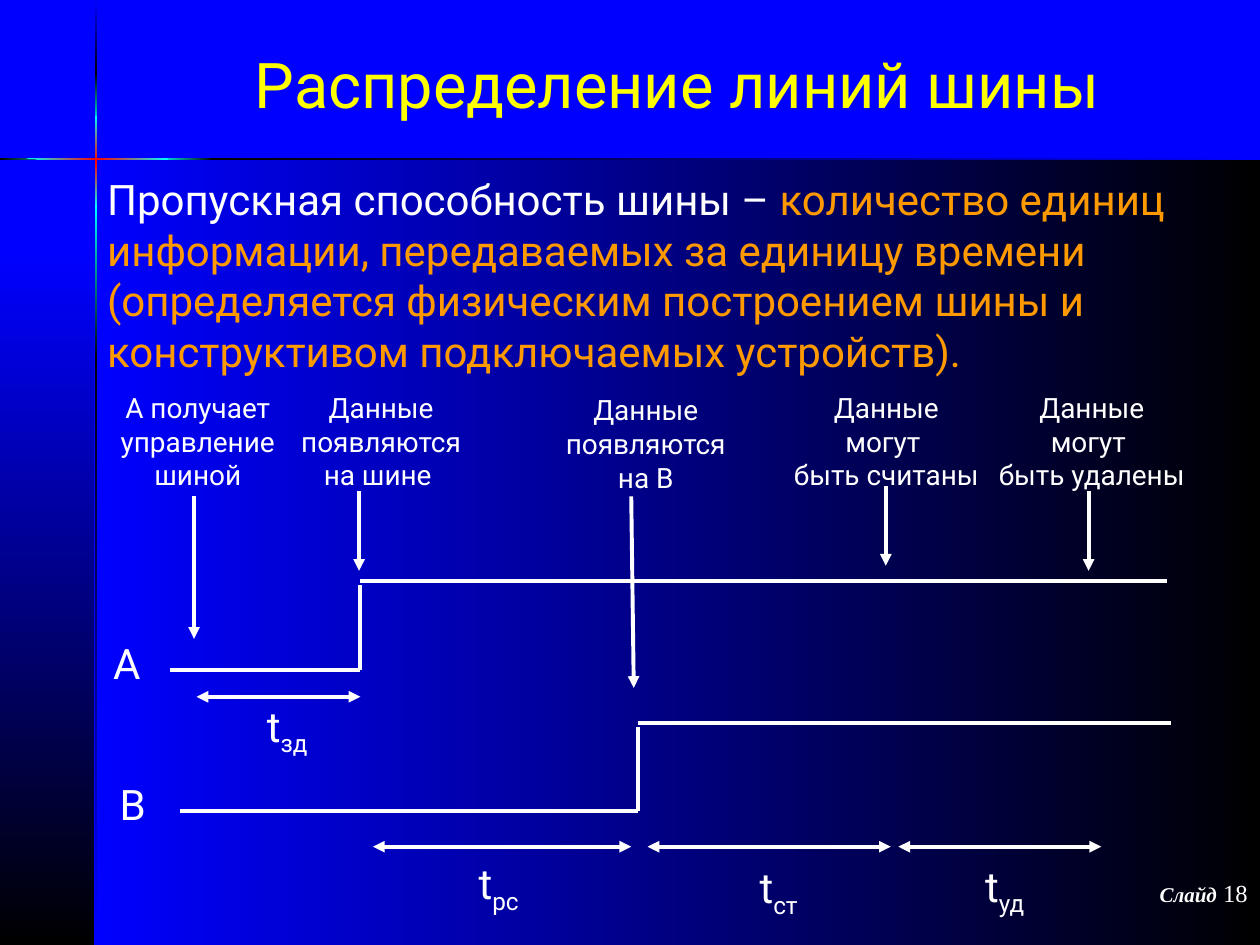
from dataclasses import dataclass
from copy import deepcopy

from pptx import Presentation
from pptx.dml.color import RGBColor
from pptx.enum.shapes import MSO_CONNECTOR, MSO_SHAPE
from pptx.enum.text import MSO_ANCHOR, MSO_AUTO_SIZE, PP_ALIGN
from pptx.oxml.ns import qn
from pptx.util import Inches, Pt
from lxml.etree import SubElement

BLUE = RGBColor(0x00, 0x00, 0xFF)
BLACK = RGBColor(0x00, 0x00, 0x00)
CYAN = RGBColor(0x00, 0xFF, 0xFF)
RED = RGBColor(0xFF, 0x00, 0x00)
WHITE = RGBColor(0xFF, 0xFF, 0xFF)
YELLOW = RGBColor(0xFF, 0xFF, 0x00)
ORANGE = RGBColor(0xFF, 0x99, 0x00)

FONT = "Roboto"
RIGHTWARD, DOWNWARD = 0, 270
RULE = 0.02
AXIS_X, AXIS_Y = 0.75, 1.25


@dataclass
class Band:
    left: float
    top: float
    width: float
    height: float
    colors: tuple[RGBColor, ...]
    angle: int


@dataclass
class Event:
    left: float
    top: float
    width: float
    lines: tuple[str, ...]
    arrow: tuple[float, float, float, float]


@dataclass
class Interval:
    start: float
    end: float
    y: float
    index: str
    label_left: float
    label_top: float


@dataclass
class Signal:
    name: str
    name_left: float
    name_top: float
    start: float
    rise: float
    end: float
    low: float
    high: float


def vertical_rule(top: float, height: float, *colors: RGBColor) -> Band:
    return Band(AXIS_X, top, RULE, height, colors, DOWNWARD)


def horizontal_rule(left: float, width: float, *colors: RGBColor) -> Band:
    return Band(left, AXIS_Y, width, RULE, colors, RIGHTWARD)


BANDS = [
    Band(AXIS_X, AXIS_Y, 9.25, 6.25, (BLUE, BLACK), RIGHTWARD),
    Band(0, 2.02, AXIS_X, 5.48, (BLUE, BLACK), DOWNWARD),
    vertical_rule(0.01, 0.57, BLUE, BLACK),
    vertical_rule(2.82, 4.68, BLACK, BLUE),
    vertical_rule(1.63, 1.22, CYAN, BLACK),
    vertical_rule(0.58, 0.44, BLACK, CYAN),
    vertical_rule(0.92, 0.73, CYAN, RED, CYAN),
    horizontal_rule(0, 0.61, BLACK, CYAN),
    horizontal_rule(1.67, 8.33, BLACK, BLUE),
    horizontal_rule(1.25, 0.44, CYAN, BLACK),
]
TAPER = [(0.21, 1.26), (0.6, 1.27), (1.33, 1.27), (1.33, 1.25), (0.6, 1.25)]

SIGNALS = [
    Signal("А", 0.8, 5.01, 1.35, 2.86, 9.26, 5.32, 4.61),
    Signal("В", 0.85, 6.13, 1.43, 5.06, 9.29, 6.44, 5.74),
]
EVENTS = [
    Event(0.82, 3.05, 1.5, ("А получает", "управление", "шиной"), (1.54, 3.94, 1.54, 5.07)),
    Event(2.28, 3.05, 1.49, ("Данные", "появляются", "на шине "), (2.85, 3.9, 2.85, 4.53)),
    Event(4.38, 3.07, 1.49, ("Данные", "появляются", "на В"), (5.01, 3.94, 5.03, 5.46)),
    Event(6.17, 3.05, 1.73, ("Данные", "могут ", "быть считаны"), (7.03, 3.86, 7.03, 4.49)),
    Event(7.8, 3.05, 1.73, ("Данные", "могут ", "быть удалены"), (8.64, 3.9, 8.64, 4.53)),
]
INTERVALS = [
    Interval(1.56, 2.86, 5.53, "зд", 2.02, 5.51),
    Interval(2.96, 5.01, 6.72, "рс", 3.7, 6.76),
    Interval(5.14, 7.07, 6.72, "ст", 5.93, 6.79),
    Interval(7.13, 8.74, 6.72, "уд", 7.72, 6.78),
]


def paint_gradient(shape, colors: tuple[RGBColor, ...], angle: int) -> None:
    """Spread the colours evenly along the angle, with no outline or shadow."""
    shape.shadow.inherit = False
    shape.line.fill.background()
    shape.fill.gradient()
    shape.fill.gradient_angle = angle
    stop_list = shape.fill._xPr.find(qn("a:gradFill")).find(qn("a:gsLst"))
    while len(stop_list) < len(colors):
        stop_list.append(deepcopy(stop_list[0]))
    for number, (stop, color) in enumerate(zip(shape.fill.gradient_stops, colors)):
        stop.color.rgb = color
        stop.position = number / (len(colors) - 1)


def add_band(page, band: Band) -> None:
    shape = page.shapes.add_shape(
        MSO_SHAPE.RECTANGLE, Inches(band.left), Inches(band.top),
        Inches(band.width), Inches(band.height))
    paint_gradient(shape, band.colors, band.angle)


def add_taper(page) -> None:
    points = [(Inches(x), Inches(y)) for x, y in TAPER]
    builder = page.shapes.build_freeform(*points[0])
    builder.add_line_segments(points[1:], close=True)
    paint_gradient(builder.convert_to_shape(), (CYAN, RED, CYAN), RIGHTWARD)


def add_span(para, text: str, *, size: float = 24, color: RGBColor = WHITE,
             font: str = FONT, bold: bool = False, italic: bool = False,
             subscript: bool = False) -> None:
    span = para.add_run()
    span.text = text
    span.font.name, span.font.size = font, Pt(size)
    span.font.bold, span.font.italic = bold, italic
    span.font.color.rgb = color
    if subscript:
        span._r.get_or_add_rPr().set("baseline", "-25000")


def add_box(page, left: float, top: float, width: float, height: float, *, wrap: bool = False):
    box = page.shapes.add_textbox(Inches(left), Inches(top), Inches(width), Inches(height))
    box.text_frame.word_wrap = wrap
    if not wrap:
        box.text_frame.auto_size = MSO_AUTO_SIZE.SHAPE_TO_FIT_TEXT
    return box.text_frame


def add_line(page, x1: float, y1: float, x2: float, y2: float, *,
             head: bool = False, tail: bool = False) -> None:
    line = page.shapes.add_connector(
        MSO_CONNECTOR.STRAIGHT, Inches(x1), Inches(y1), Inches(x2), Inches(y2))
    line.line.color.rgb = WHITE
    line.line.width = Pt(2.25)
    for tag, wanted in (("a:headEnd", head), ("a:tailEnd", tail)):
        if wanted:
            SubElement(line.line._get_or_add_ln(), qn(tag)).set("type", "triangle")
    SubElement(line._element.spPr, qn("a:effectLst"))


def place_text(page, holder, left: float, top: float, width: float, height: float):
    """Move a placeholder above the backdrop and return its first paragraph."""
    page.shapes.element.append(holder.element)
    holder.left, holder.top = Inches(left), Inches(top)
    holder.width, holder.height = Inches(width), Inches(height)
    holder.text_frame.auto_size = MSO_AUTO_SIZE.NONE
    return holder.text_frame.paragraphs[0]


def add_signal(page, signal: Signal) -> None:
    add_line(page, signal.start, signal.low, signal.rise, signal.low)
    add_line(page, signal.rise, signal.low, signal.rise, signal.high + 0.03)
    add_line(page, signal.rise, signal.high, signal.end, signal.high)
    frame = add_box(page, signal.name_left, signal.name_top, 0.41, 0.5)
    add_span(frame.paragraphs[0], signal.name)


def add_event(page, event: Event) -> None:
    frame = add_box(page, event.left, event.top, event.width, 0.9)
    for number, text in enumerate(event.lines):
        para = frame.add_paragraph() if number else frame.paragraphs[0]
        para.alignment = PP_ALIGN.CENTER
        add_span(para, text, size=16)
    add_line(page, *event.arrow, tail=True)


def add_interval(page, interval: Interval) -> None:
    add_line(page, interval.start, interval.y, interval.end, interval.y, head=True, tail=True)
    para = add_box(page, interval.label_left, interval.label_top, 0.53, 0.56).paragraphs[0]
    add_span(para, "t")
    add_span(para, interval.index, subscript=True)


def main() -> None:
    deck = Presentation()
    deck.slide_width, deck.slide_height = Inches(10), Inches(7.5)
    page = deck.slides.add_slide(deck.slide_layouts[1])
    page.background.fill.solid()
    page.background.fill.fore_color.rgb = BLUE
    title, body = page.placeholders

    for band in BANDS:
        add_band(page, band)
    add_taper(page)

    para = add_box(page, 7.92, 6.92, 2.08, 0.5, wrap=True).paragraphs[0]
    para.alignment = PP_ALIGN.RIGHT
    add_span(para, "Слайд", size=12, font="Times New Roman", bold=True, italic=True)
    add_span(para, " 18", size=14, font="Times New Roman")

    para = place_text(page, title, 0.75, 0.08, 9.25, 1.17)
    title.text_frame.vertical_anchor = MSO_ANCHOR.MIDDLE
    para.alignment = PP_ALIGN.CENTER
    add_span(para, "Распределение линий шины", size=36, color=YELLOW)

    para = place_text(page, body, 0.75, 1.33, 9.01, 5.96)
    para.space_before = Pt(6)
    properties = para._p.get_or_add_pPr()
    properties.set("marL", "0")
    properties.set("indent", "0")
    SubElement(properties, qn("a:buNone"))
    add_span(para, "Пропускная способность шины – ")
    add_span(para, "количество единиц информации, передаваемых за единицу времени "
             "(определяется физическим построением шины и конструктивом "
             "подключаемых устройств).", color=ORANGE)

    for signal in SIGNALS:
        add_signal(page, signal)
    for event in EVENTS:
        add_event(page, event)
    for interval in INTERVALS:
        add_interval(page, interval)
    deck.save("out.pptx")


if __name__ == "__main__":
    main()
